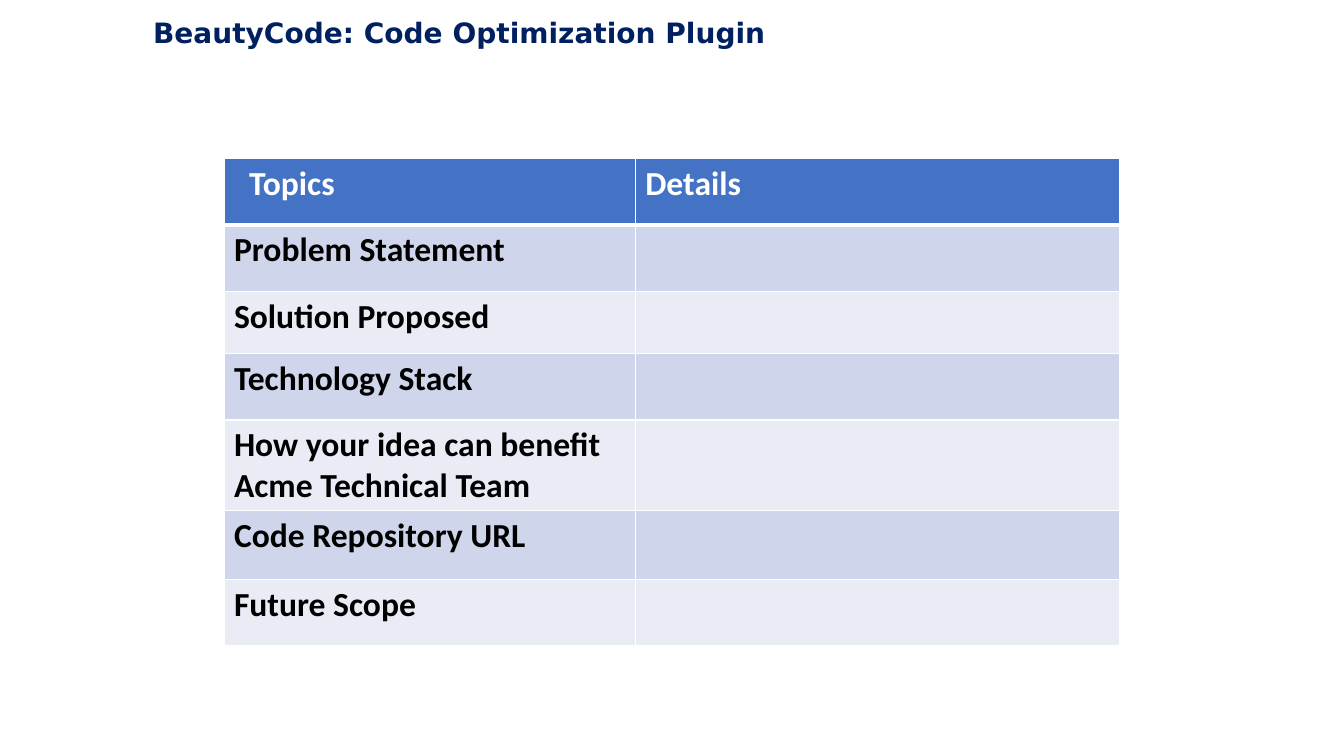
from lxml import etree
from pptx import Presentation
from pptx.dml.color import RGBColor
from pptx.enum.text import MSO_ANCHOR
from pptx.oxml.ns import qn
from pptx.util import Pt

NAVY, WHITE, BLACK = "002060", "FFFFFF", "000000"
HEADER_FILL = "4472C4"
BAND_FILLS = ("E9EBF5", "CFD5EA")
COLUMN_WIDTHS = (293.76, 346.32)
ROW_HEIGHTS = (47.5, 47.5, 44.6, 47.5, 47.5, 49, 47.5)
TOPICS = (
    "Problem Statement",
    "Solution Proposed",
    "Technology Stack",
    "How your idea can benefit Acme Technical Team",
    "Code Repository URL",
    "Future Scope",
)


def paint(target, color):
    target.solid()
    target.fore_color.rgb = RGBColor.from_string(color)


def add_run(paragraph, text, font_name, size, color):
    run = paragraph.add_run()
    run.text = text
    run.font.name = font_name
    run.font.size = Pt(size)
    run.font.bold = True
    paint(run.font.fill, color)


def set_border(cell, side, width):
    """Draw one white cell border; side is L, R, T or B."""
    line = etree.SubElement(cell._tc.get_or_add_tcPr(), qn(f"a:ln{side}"), w=str(Pt(width)))
    fill = etree.SubElement(line, qn("a:solidFill"))
    etree.SubElement(fill, qn("a:srgbClr"), val=WHITE)


def add_title(slide, left, top, width, height):
    title = slide.shapes.add_textbox(Pt(left), Pt(top), Pt(width), Pt(height))
    frame = title.text_frame
    frame.word_wrap = True
    frame.vertical_anchor = MSO_ANCHOR.BOTTOM
    heading = frame.paragraphs[0]
    heading.line_spacing = 0.9
    add_run(heading, "BeautyCode: Code Optimization Plugin", "DejaVu Sans", 20, NAVY)


def add_topics_table(slide, left, top):
    rows = [("Topics", "Details")] + [(topic, "") for topic in TOPICS]
    table = slide.shapes.add_table(
        len(rows), len(COLUMN_WIDTHS), Pt(left), Pt(top),
        Pt(sum(COLUMN_WIDTHS)), Pt(sum(ROW_HEIGHTS)),
    ).table
    for column, width in zip(table.columns, COLUMN_WIDTHS):
        column.width = Pt(width)
    for row, height in zip(table.rows, ROW_HEIGHTS):
        row.height = Pt(height)

    for row_index, texts in enumerate(rows):
        is_header = row_index == 0
        for column_index, text in enumerate(texts):
            cell = table.cell(row_index, column_index)
            for side in "LRTB":
                at_header_rule = (is_header and side == "B") or (row_index == 1 and side == "T")
                set_border(cell, side, 3 if at_header_rule else 1)
            paint(cell.fill, HEADER_FILL if is_header else BAND_FILLS[row_index % 2])
            if text:
                add_run(cell.text_frame.paragraphs[0], text, "Calibri", 24,
                        WHITE if is_header else BLACK)
    table.cell(0, 0).margin_left = Pt(18)


def main():
    presentation = Presentation()
    presentation.slide_width = Pt(960)
    presentation.slide_height = Pt(540)
    slide = presentation.slides.add_slide(presentation.slide_layouts[6])
    add_title(slide, 102.24, 9.36, 843.84, 29.52)
    add_topics_table(slide, 160, 113)
    presentation.save("out.pptx")


if __name__ == "__main__":
    main()
